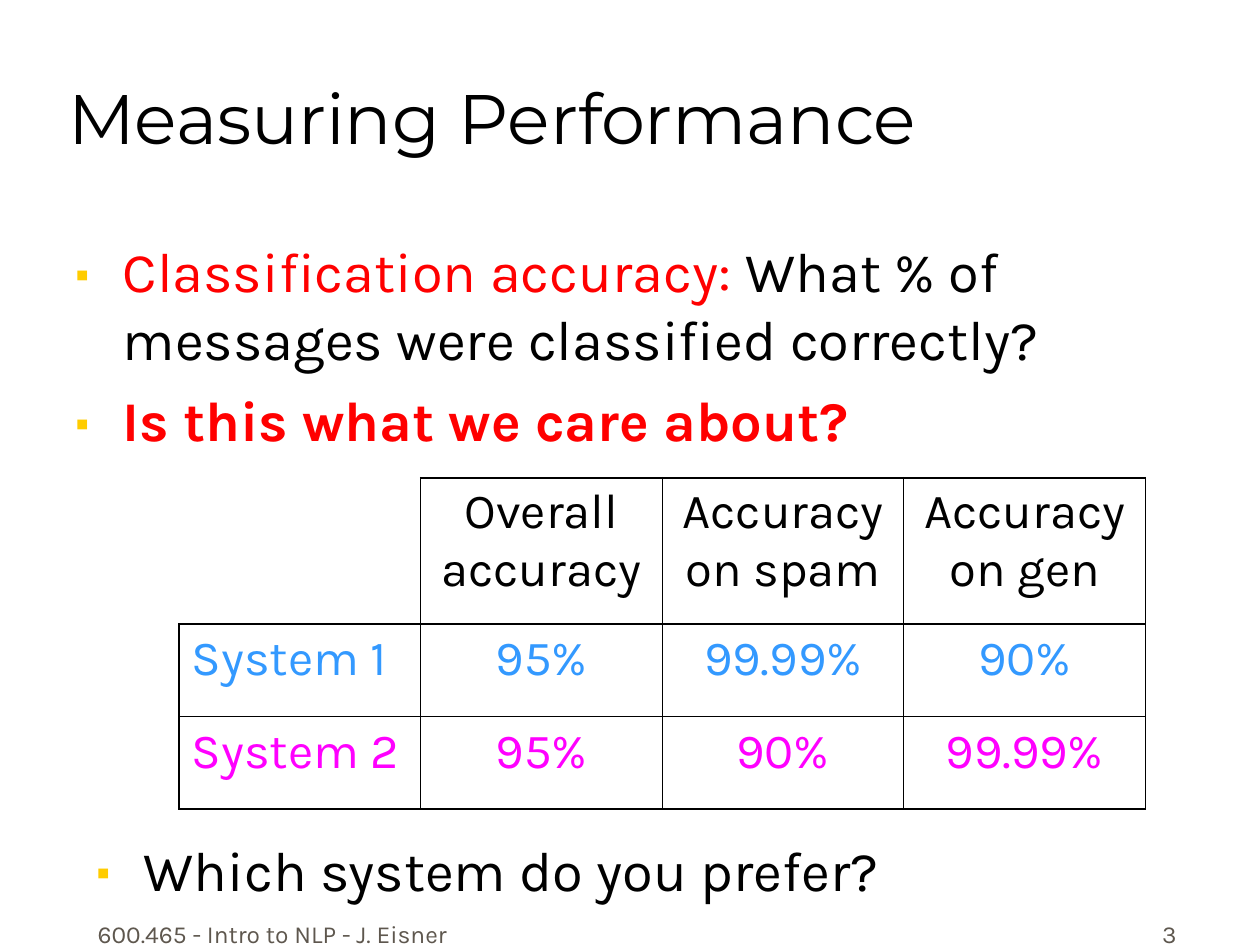
from lxml.etree import SubElement
from pptx import Presentation
from pptx.dml.color import RGBColor
from pptx.enum.text import MSO_ANCHOR, MSO_AUTO_SIZE, PP_ALIGN
from pptx.oxml.ns import qn
from pptx.util import Cm, Pt

COLORS = {"text": "000000", "alert": "FF0000", "bullet": "FFCC00", "footer": "5E574E",
          "first": "3399FF", "second": "FF00FF"}
HEADERS = ["", "Overall accuracy", "Accuracy on spam", "Accuracy on gen"]
SYSTEMS = [["System 1", "95%", "99.99%", "90%"], ["System 2", "95%", "90%", "99.99%"]]


def write(para, text, size=32, color="text", font="Karla", bold=False, align=PP_ALIGN.LEFT, before=0):
    """Append one formatted span to a paragraph."""
    para.alignment = align
    para.space_before = Pt(before)
    span = para.add_run()
    span.text = text
    span.font.size, span.font.name, span.font.bold = Pt(size), font, bold
    span.font.color.rgb = RGBColor.from_string(COLORS[color])


def add_bullet(para):
    """Give a paragraph a small square bullet and a hanging indent."""
    properties = para._p.get_or_add_pPr()
    properties.set("marL", str(Cm(0.95)))
    properties.set("indent", str(-Cm(0.95)))
    color = SubElement(properties, qn("a:buClr"))
    SubElement(color, qn("a:srgbClr"), val=COLORS["bullet"])
    SubElement(properties, qn("a:buSzPct"), val="60000")
    SubElement(properties, qn("a:buFont"), typeface="Noto Sans Symbols")
    SubElement(properties, qn("a:buChar"), char="▪")


def place(shape, box, anchor=MSO_ANCHOR.TOP):
    """Move a text shape to a box and return its first paragraph."""
    shape.left, shape.top, shape.width, shape.height = box
    frame = shape.text_frame
    frame.word_wrap = True
    frame.auto_size = MSO_AUTO_SIZE.NONE
    frame.vertical_anchor = anchor
    return frame.paragraphs[0]


def build_title(page, box):
    """Fill the title placeholder."""
    para = place(page.shapes.title, box, MSO_ANCHOR.BOTTOM)
    write(para, "Measuring Performance", size=40, font="Montserrat")


def build_body(page, box):
    """Fill the body placeholder with the two opening points."""
    body = page.placeholders[1]
    accuracy = place(body, box)
    write(accuracy, "Classification accuracy:", color="alert", before=8)
    write(accuracy, " What % of messages were classified correctly?", before=8)
    question = body.text_frame.add_paragraph()
    write(question, "Is this what we care about?", color="alert", bold=True, before=8)
    for para in (accuracy, question):
        add_bullet(para)


def draw_borders(cell, row, column):
    """Rule the frame and headings thickly, inner edges thinly, and leave the corner open."""
    properties = cell._tc.get_or_add_tcPr()
    thick = {"L": column in (0, 1), "R": column in (0, 3), "T": row in (0, 1), "B": row in (0, 2)}
    for position, (side, is_thick) in enumerate(thick.items()):
        width = Pt(1.08 if is_thick else 0.45)
        line = properties.makeelement(qn(f"a:ln{side}"), {"w": str(width)})
        properties.insert(position, line)
        if row == column == 0 and side in "LT":
            SubElement(line, qn("a:noFill"))
        else:
            fill = SubElement(line, qn("a:solidFill"))
            SubElement(fill, qn("a:srgbClr"), val=COLORS["text"])


def build_table(page, box):
    """Add the accuracy table of both systems."""
    rows = [HEADERS, *SYSTEMS]
    table = page.shapes.add_table(len(rows), len(HEADERS), *box).table
    table.first_row = table.horz_banding = False
    for row, height in zip(table.rows, (2.95, 1.87, 1.86)):
        row.height = Cm(height)
    for r, (values, color) in enumerate(zip(rows, ("text", "first", "second"))):
        for c, value in enumerate(values):
            cell = table.cell(r, c)
            cell.fill.background()
            draw_borders(cell, r, c)
            if value:
                align = PP_ALIGN.CENTER if c else PP_ALIGN.LEFT
                write(cell.text_frame.paragraphs[0], value, size=28, color=color, align=align, before=7)


def build_closing(page, box):
    """Add the closing question under the table."""
    para = place(page.shapes.add_textbox(*box), box)
    write(para, "Which system do you prefer?", before=8)
    add_bullet(para)


def build_footer(page, box):
    """Add the course name and page number at both ends of the box."""
    left, top, width, height = box
    course_width, number_width = Cm(8.05), Cm(5.28)
    parts = [("600.465 - Intro to NLP - J. Eisner", left, course_width, PP_ALIGN.CENTER),
             ("3", left + width - number_width, number_width, PP_ALIGN.RIGHT)]
    for text, start, span_width, align in parts:
        part_box = (start, top, span_width, height)
        para = place(page.shapes.add_textbox(*part_box), part_box, MSO_ANCHOR.BOTTOM)
        write(para, text, size=14, color="footer", align=align, before=8.8)


def main():
    """Build the slide and save the deck."""
    deck = Presentation()
    deck.slide_width, deck.slide_height = Cm(25.4), Cm(19.05)
    page = deck.slides.add_slide(deck.slide_layouts[1])
    build_footer(page, (Cm(1.47), Cm(17.98), Cm(22.5), Cm(1.27)))
    build_title(page, (Cm(1.12), Cm(0.15), Cm(21.59), Cm(3.18)))
    build_body(page, (Cm(1.27), Cm(4.65), Cm(22.71), Cm(6.55)))
    build_table(page, (Cm(3.61), Cm(9.63), Cm(19.48), Cm(6.68)))
    build_closing(page, (Cm(1.7), Cm(16.71), Cm(22.71), Cm(1.91)))
    deck.save("out.pptx")


if __name__ == "__main__":
    main()
